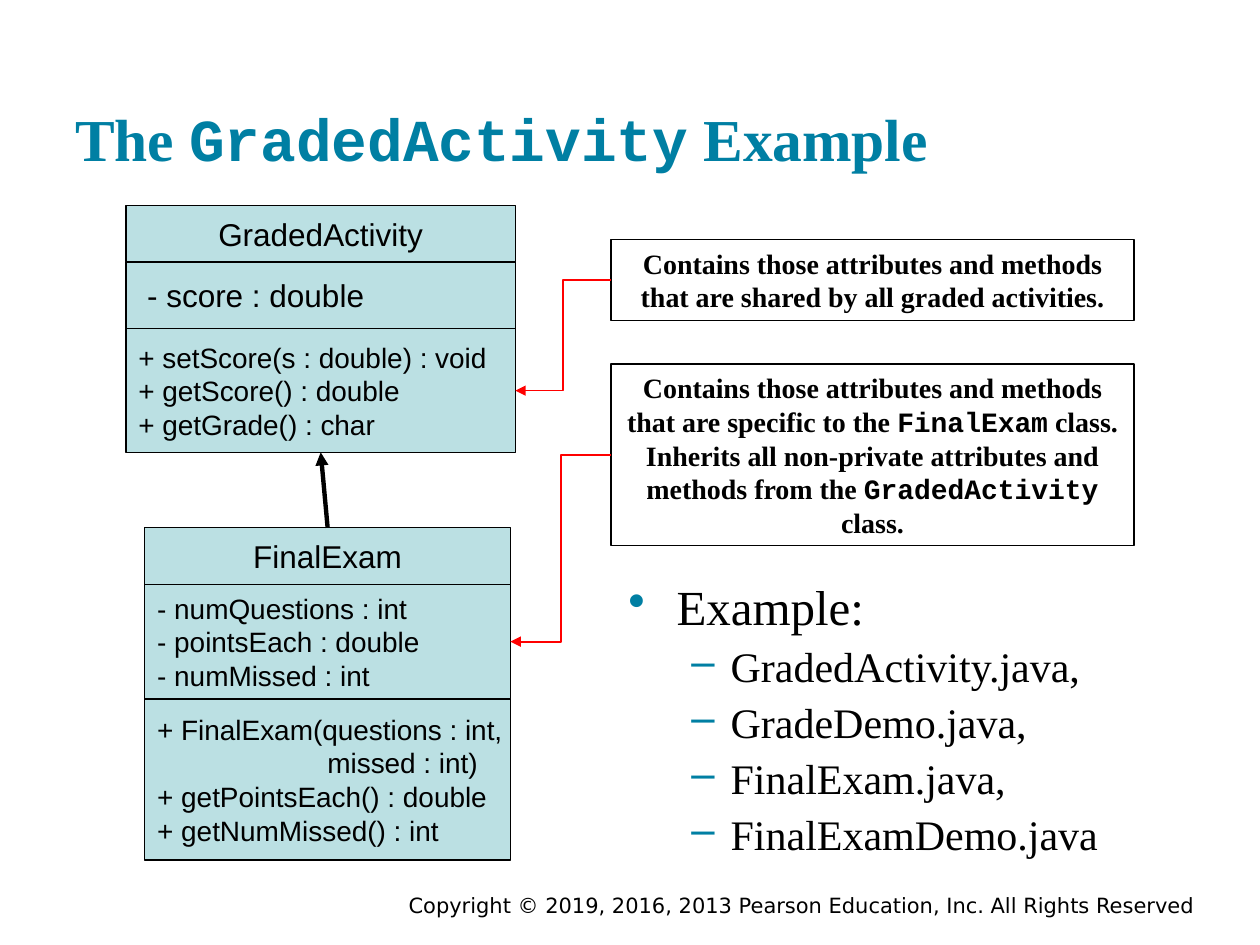
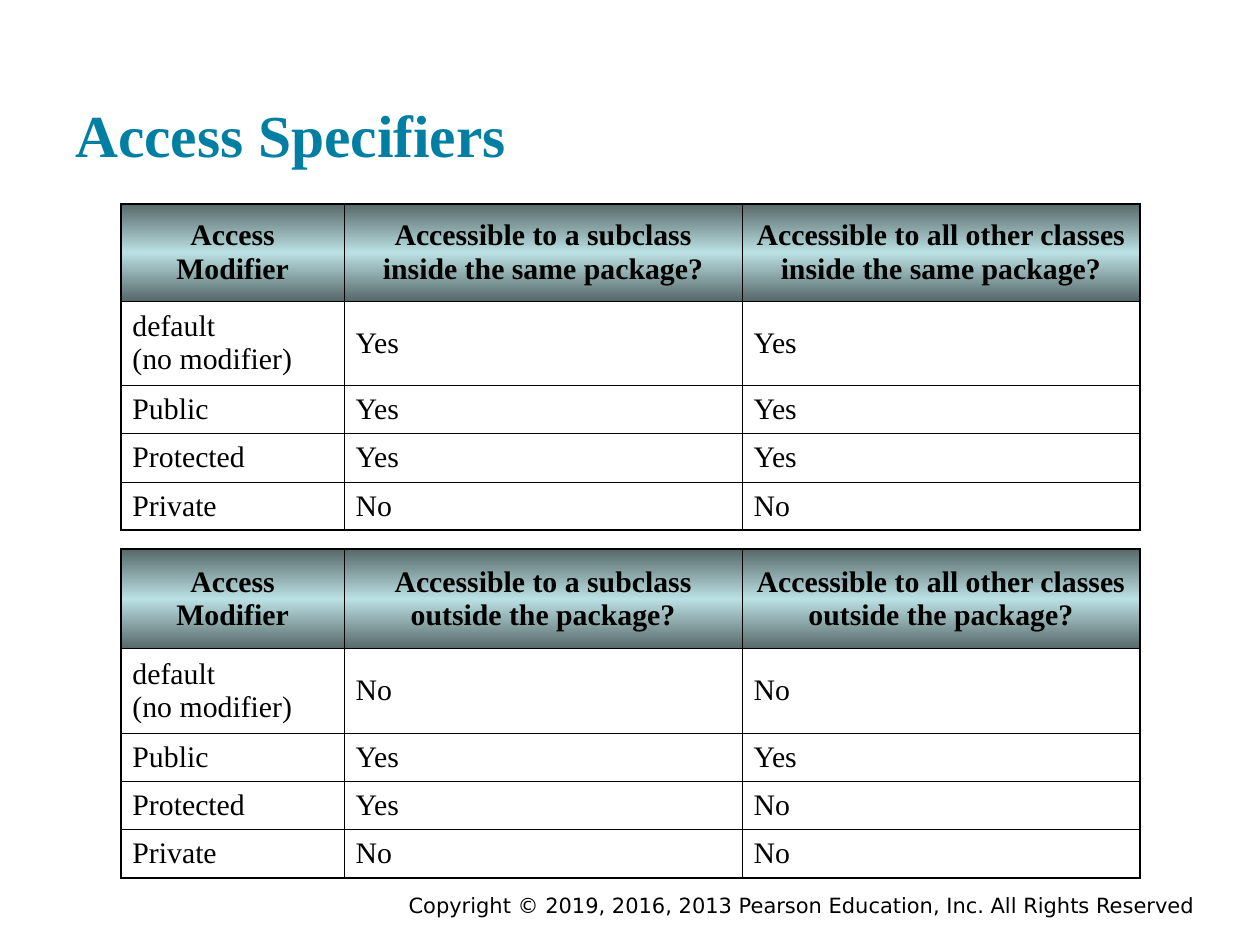
from dataclasses import dataclass

from pptx import Presentation
from pptx.dml.color import RGBColor
from pptx.enum.shapes import MSO_CONNECTOR, MSO_SHAPE
from pptx.enum.text import MSO_ANCHOR, PP_ALIGN
from pptx.oxml import parse_xml
from pptx.oxml.ns import nsdecls
from pptx.oxml.xmlchemy import OxmlElement
from pptx.util import Cm, Pt

LEFT, CENTER, RIGHT = PP_ALIGN.LEFT, PP_ALIGN.CENTER, PP_ALIGN.RIGHT
TOP, MIDDLE, BOTTOM = MSO_ANCHOR.TOP, MSO_ANCHOR.MIDDLE, MSO_ANCHOR.BOTTOM
RECTANGLE = MSO_SHAPE.RECTANGLE
STRAIGHT, ELBOW = MSO_CONNECTOR.STRAIGHT, MSO_CONNECTOR.ELBOW
SIDE_TOP, SIDE_LEFT, SIDE_BOTTOM, SIDE_RIGHT = range(4)


@dataclass(frozen=True)
class Theme:
    accent: str = "007FA3"
    ink: str = "000000"
    panel: str = "BBE0E3"
    panel_dark: str = "576869"
    callout: str = "FF0000"
    serif: str = "Times New Roman"
    sans: str = "Arial"
    code: str = "Courier New"
    footer_font: str = "DejaVu Sans"
    title: int = 34
    bullet: int = 28
    sub_bullet: int = 24
    class_name: int = 18
    table: int = 17
    body: int = 16
    footer: int = 12
    box_line: float = 0.75
    outer_line: float = 1.08
    inner_line: float = 0.45


T = Theme()
COPYRIGHT = "Copyright © 2019, 2016, 2013 Pearson Education, Inc. All Rights Reserved"


def write(tf, lines, size, font=T.serif, color=T.ink, bold=False, align=LEFT):
    for i, line in enumerate(lines):
        p = tf.paragraphs[0] if i == 0 else tf.add_paragraph()
        p.alignment = align
        parts = line.split("`")
        p.text = parts[0]
        for part in parts[1:]:
            p.add_run().text = part
        for r in p.runs:
            r.font.name = T.code if r.text in parts[1::2] else font
            r.font.size = Pt(size)
            r.font.bold = bold
            r.font.color.rgb = RGBColor.from_string(color)


def add_text(s, left, top, width, height, anchor=TOP):
    tf = s.shapes.add_textbox(Cm(left), Cm(top), Cm(width), Cm(height)).text_frame
    tf.word_wrap = True
    tf.vertical_anchor = anchor
    return tf


def add_base_slide(prs, title, title_top):
    s = prs.slides.add_slide(prs.slide_layouts[6])
    footer = add_text(s, 4.45, 17.86, 19.89, 0.56)
    write(footer, [COPYRIGHT], T.footer, T.footer_font, align=RIGHT)
    tf = add_text(s, 1.27, title_top, 22.86, 3.05, BOTTOM)
    tf.margin_top = tf.margin_bottom = Cm(0.25)
    write(tf, [title], T.title, color=T.accent, bold=True)
    return s


def add_box(s, left, top, width, height, fill=None):
    sp = s.shapes.add_shape(RECTANGLE, Cm(left), Cm(top), Cm(width), Cm(height))
    sp.shadow.inherit = False
    if fill:
        sp.fill.solid()
        sp.fill.fore_color.rgb = RGBColor.from_string(fill)
    else:
        sp.fill.background()
    sp.line.color.rgb = RGBColor.from_string(T.ink)
    sp.line.width = Pt(T.box_line)
    sp.text_frame.word_wrap = True
    sp.text_frame.vertical_anchor = MIDDLE
    return sp


def add_class(s, left, top, width, compartments):
    boxes = []
    for height, size, lines in compartments:
        sp = add_box(s, left, top, width, height, T.panel)
        sp.text_frame.margin_right = 0 if boxes else Cm(0.25)
        write(sp.text_frame, lines, size, T.sans, align=LEFT if boxes else CENTER)
        boxes.append(sp)
        top += height
    return boxes


def add_note(s, top, height, lines):
    sp = add_box(s, 12.32, top, 10.54, height)
    write(sp.text_frame, lines, T.body, bold=True, align=CENTER)
    return sp


def add_arrow(s, kind, start, start_side, end, end_side, color, width):
    c = s.shapes.add_connector(kind, 0, 0, 0, 0)
    c.begin_connect(start, start_side)
    c.end_connect(end, end_side)
    c.line.color.rgb = RGBColor.from_string(color)
    c.line.width = Pt(width)
    tail = OxmlElement("a:tailEnd")
    tail.set("type", "triangle")
    c.line._get_or_add_ln().append(tail)
    c._element.spPr.append(OxmlElement("a:effectLst"))


def set_bullet(p, char, margin, hanging, level=0):
    p.level = level
    p.line_spacing = 0.9
    if level:
        p.space_before = Pt(6)
    pPr = p._p.get_or_add_pPr()
    pPr.set("marL", str(Cm(margin)))
    pPr.set("indent", str(-Cm(hanging)))
    pPr.append(parse_xml(
        f'<a:buClr {nsdecls("a")}><a:srgbClr val="{T.accent}"/></a:buClr>'))
    pPr.append(parse_xml(f'<a:buChar {nsdecls("a")} char="{char}"/>'))


def add_examples(s, heading, files):
    tf = add_text(s, 12.42, 11.63, 10.8, 5.92)
    tf.margin_right = 0
    write(tf, [heading, *files], T.sub_bullet)
    first, *others = tf.paragraphs
    first.runs[0].font.size = Pt(T.bullet)
    set_bullet(first, "•", 0.97, 0.97)
    for p in others:
        set_bullet(p, "–", 2.06, 0.79, level=1)


def set_borders(cell, outer_sides):
    tcPr = cell._tc.get_or_add_tcPr()
    for i, side in enumerate("LRTB"):
        width = Pt(T.outer_line if side in outer_sides else T.inner_line)
        tcPr.insert(i, parse_xml(
            f'<a:ln{side} {nsdecls("a")} w="{width}"><a:solidFill>'
            f'<a:srgbClr val="{T.ink}"/></a:solidFill></a:ln{side}>'))


def set_header_fill(cell):
    stops = "".join(
        f'<a:gs pos="{pos}"><a:srgbClr val="{color}"/></a:gs>'
        for pos, color in ((0, T.panel_dark), (50000, T.panel), (100000, T.panel_dark)))
    cell._tc.get_or_add_tcPr().append(parse_xml(
        f'<a:gradFill {nsdecls("a")}><a:gsLst>{stops}</a:gsLst>'
        '<a:lin ang="5400000" scaled="0"/></a:gradFill>'))


def add_access_table(s, top, header_height, place, answers):
    header = ["Access Modifier", f"Accessible to a subclass {place} package?",
              f"Accessible to all other classes {place} package?"]
    modifiers = ["default\v(no modifier)", "Public", "Protected", "Private"]
    rows = [header] + [[m, *a] for m, a in zip(modifiers, answers)]
    widths = [4.5, 8.02, 8.02]
    heights = [header_height, 1.68, 0.97, 0.97, 0.97]
    table = s.shapes.add_table(len(rows), len(widths), Cm(2.44), Cm(top),
                               Cm(sum(widths)), Cm(sum(heights))).table
    table.first_row = table.horz_banding = False
    for column, width in zip(table.columns, widths):
        column.width = Cm(width)
    for row, height in zip(table.rows, heights):
        row.height = Cm(height)
    for y, values in enumerate(rows):
        for x, value in enumerate(values):
            cell = table.cell(y, x)
            cell.vertical_anchor = MIDDLE
            cell.margin_left = cell.margin_right = Cm(0.23)
            is_header = y == 0
            write(cell.text_frame, [value], T.table, bold=is_header,
                  align=CENTER if is_header else LEFT)
            if is_header:
                set_header_fill(cell)
            else:
                cell.fill.background()
            edges = {"L": x == 0, "R": x == len(widths) - 1,
                     "T": y == 0, "B": y == len(rows) - 1}
            set_borders(cell, [side for side, outer in edges.items() if outer])


def build_example_slide(prs):
    s = add_base_slide(prs, "The `GradedActivity` Example", 0.69)
    add_examples(s, "Example:", ["GradedActivity.java,", "GradeDemo.java,",
                                 "FinalExam.java,", "FinalExamDemo.java"])
    graded = add_class(s, 2.54, 4.14, 7.85, [
        (1.14, T.class_name, ["GradedActivity"]),
        (1.35, T.class_name, [" - score : double"]),
        (2.49, T.body, ["+ setScore(s : double) : void", "+ getScore() : double",
                        "+ getGrade() : char"])])
    final = add_class(s, 2.92, 10.64, 7.37, [
        (1.14, T.class_name, ["FinalExam"]),
        (2.31, T.body, ["- numQuestions : int", "- pointsEach : double",
                        "- numMissed : int"]),
        (3.25, T.body, ["+ FinalExam(questions : int,",
                        "                      missed : int)",
                        "+ getPointsEach() : double", "+ getNumMissed() : int"])])
    shared = add_note(s, 4.83, 1.63, [
        "Contains those attributes and methods that are shared by all graded activities."])
    specific = add_note(s, 7.34, 3.66, [
        "Contains those attributes and methods that are specific to the `FinalExam` class.",
        "Inherits all non-private attributes and methods from the `GradedActivity` class."])
    add_arrow(s, STRAIGHT, final[0], SIDE_TOP, graded[-1], SIDE_BOTTOM, T.ink, 2.5)
    for note, target in ((shared, graded[2]), (specific, final[1])):
        add_arrow(s, ELBOW, note, SIDE_LEFT, target, SIDE_RIGHT, T.callout, 1)


def build_access_slide(prs):
    s = add_base_slide(prs, "Access Specifiers", 0.61)
    add_access_table(s, 4.11, 1.96, "inside the same", [
        ("Yes", "Yes"), ("Yes", "Yes"), ("Yes", "Yes"), ("No", "No")])
    add_access_table(s, 11.07, 2.01, "outside the", [
        ("No", "No"), ("Yes", "Yes"), ("Yes", "No"), ("No", "No")])


def main():
    prs = Presentation()
    prs.slide_width, prs.slide_height = Cm(25.4), Cm(19.05)
    build_example_slide(prs)
    build_access_slide(prs)
    prs.save("out.pptx")


if __name__ == "__main__":
    main()
